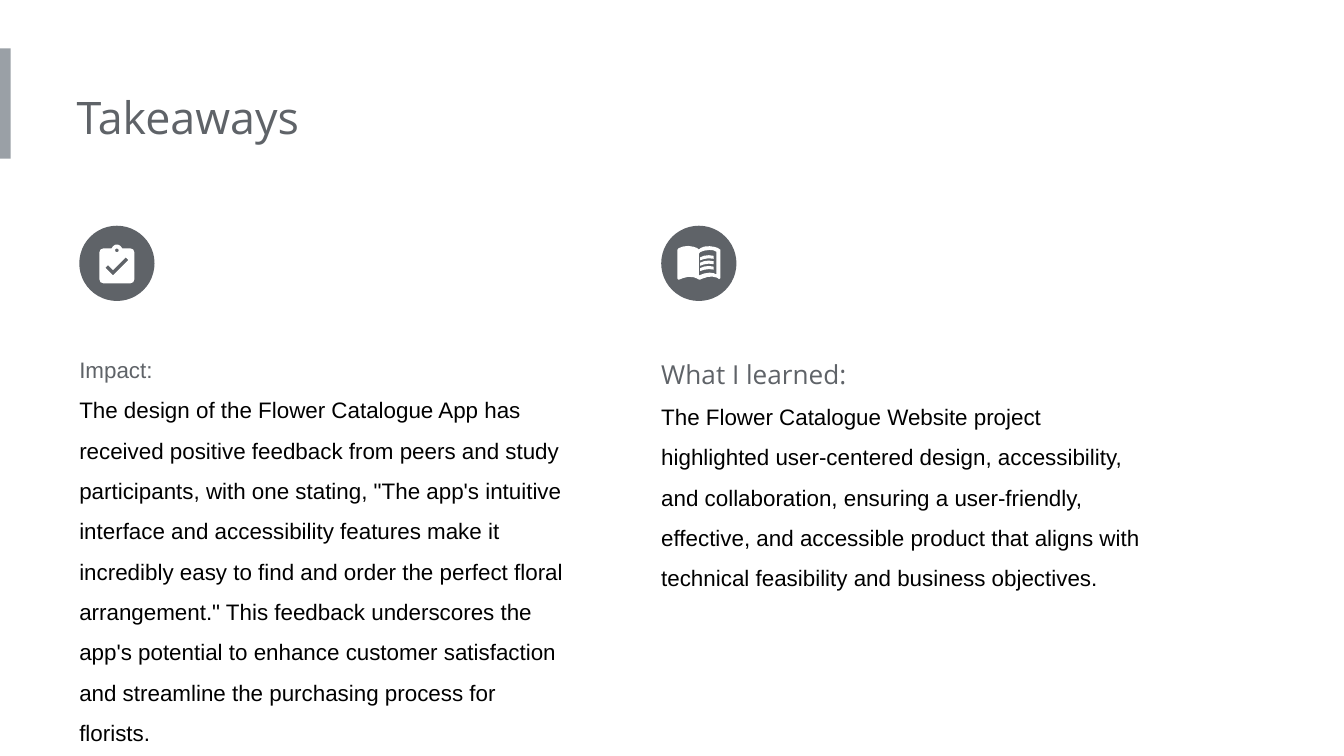
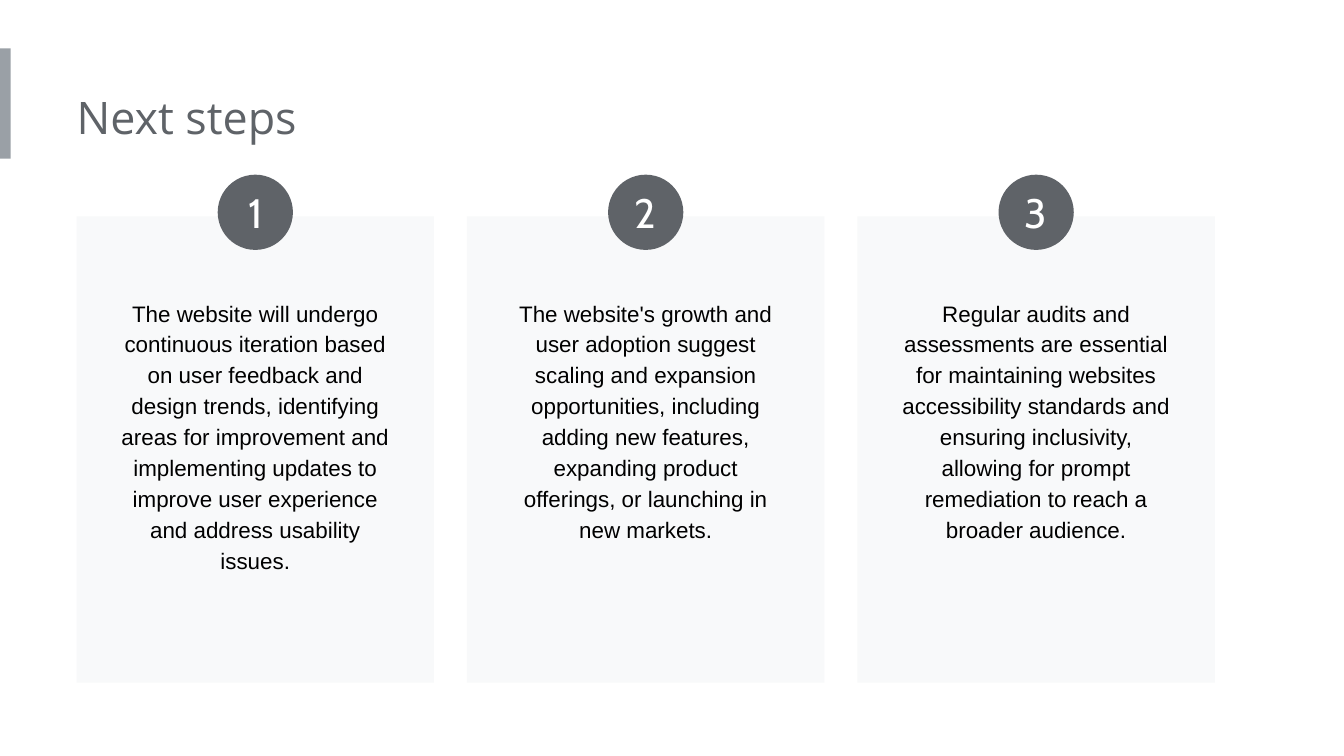
from pptx import Presentation
from pptx.dml.color import RGBColor
from pptx.enum.shapes import MSO_SHAPE
from pptx.enum.text import MSO_ANCHOR, MSO_AUTO_SIZE, PP_ALIGN
from pptx.util import Inches, Pt

RECT, OVAL = MSO_SHAPE.RECTANGLE, MSO_SHAPE.OVAL
TOP, MIDDLE = MSO_ANCHOR.TOP, MSO_ANCHOR.MIDDLE
GROW, FIXED = MSO_AUTO_SIZE.SHAPE_TO_FIT_TEXT, MSO_AUTO_SIZE.NONE
LEFT, CENTER = PP_ALIGN.LEFT, PP_ALIGN.CENTER

GRAY, ACCENT, PALE, WHITE, BLACK = "5F6368", "9AA0A6", "F8F9FA", "FFFFFF", "000000"
TITLE = {"name": "Open Sans", "size": Pt(24)}
HEADING = {"name": "Open Sans", "size": Pt(14)}
BODY = {"name": "Arial", "size": Pt(12)}
NUMBER = {"name": "Cabin", "size": Pt(22)}

PAD = Inches(0.1)
MARGIN = Inches(0.57)
DISC = Inches(0.56)


def paint(sp, color):
    sp.shadow.inherit = False
    sp.fill.solid()
    sp.fill.fore_color.rgb = RGBColor.from_string(color)
    sp.line.fill.background()


def write(sp, rows, align=LEFT, spacing=1.0, inset=(0, PAD, PAD, PAD), anchor=TOP, fit=GROW):
    tf = sp.text_frame
    sides = ("margin_left", "margin_top", "margin_right", "margin_bottom")
    frame = dict(zip(sides, inset), word_wrap=True, vertical_anchor=anchor, auto_size=fit)
    for key, value in frame.items():
        setattr(tf, key, value)
    for i, (text, font, color) in enumerate(rows):
        p = tf.add_paragraph() if i else tf.paragraphs[0]
        p.alignment, p.line_spacing = align, spacing
        r = p.add_run()
        r.text = text
        for key, value in font.items():
            setattr(r.font, key, value)
        r.font.color.rgb = RGBColor.from_string(color)


prs = Presentation()
prs.slide_width = Inches(10)
prs.slide_height = prs.slide_width * 9 // 16

slides = []
for text in ("Takeaways", "Next steps"):
    s = prs.slides.add_slide(prs.slide_layouts[5])
    paint(s.shapes.add_shape(RECT, 0, Inches(0.36), Inches(0.08), Inches(0.82)), ACCENT)
    title = s.shapes.title
    title.left, title.top, title.width, title.height = MARGIN, MARGIN, Inches(5.39), Inches(0.61)
    write(title, [(text, TITLE, GRAY)])
    slides.append(s)
takeaways, next_steps = slides

clipboard = [[
    [(381, 169), (320, 169), (308, 152), (294, 142), (280, 140), (266, 142), (252, 152),
     (240, 169), (179, 169), (158, 177), (150, 198), (150, 399), (158, 420), (179, 428),
     (381, 428), (402, 420), (410, 399), (410, 198), (402, 177)],
    [(280, 169), (290, 173), (294, 183), (290, 193), (280, 197), (270, 193), (266, 183), (270, 173)],
    [(251, 370), (194, 313), (214, 293), (251, 330), (346, 235), (366, 255)],
]]
book = [[
    [(200, 150), (160, 155), (130, 167), (120, 178), (120, 392), (125, 400), (135, 400),
     (160, 390), (200, 380), (240, 383), (265, 392), (280, 400), (290, 400), (310, 392),
     (345, 381), (380, 378), (415, 386), (430, 397), (440, 390), (440, 178), (420, 165),
     (395, 157), (360, 152), (320, 155), (295, 165), (280, 176), (265, 165), (240, 156)],
    [(360, 180), (390, 183), (410, 193), (410, 362), (390, 353), (360, 349), (320, 355),
     (280, 370), (280, 208), (290, 196), (320, 185)],
]]
text_line = [(290, 235), (320, 223), (355, 219), (390, 224),
             (390, 246), (355, 242), (320, 247), (290, 257)]
for drop in (0, 40, 80):
    book.append([[(x, y + drop) for x, y in text_line]])

columns = [
    (clipboard, 2.93, "Impact:", BODY,
     'The design of the Flower Catalogue App has received positive feedback from peers and study '
     'participants, with one stating, "The app\'s intuitive interface and accessibility features '
     'make it incredibly easy to find and order the perfect floral arrangement." This feedback '
     "underscores the app's potential to enhance customer satisfaction and streamline the "
     "purchasing process for florists."),
    (book, 2.37, "What I learned:", HEADING,
     "The Flower Catalogue Website project highlighted user-centered design, accessibility, and "
     "collaboration, ensuring a user-friendly, effective, and accessible product that aligns with "
     "technical feasibility and business objectives."),
]
icon_top = Inches(1.68)
for i, (icon, height, heading, font, text) in enumerate(columns):
    x = Inches(0.59) + i * Inches(4.33)
    sp = takeaways.shapes.add_textbox(x, Inches(2.45), Inches(3.77), Inches(height))
    write(sp, [(heading, font, GRAY), (text, BODY, BLACK)], spacing=1.5)
    paint(takeaways.shapes.add_shape(OVAL, x, icon_top, DISC, DISC), GRAY)
    for outlines in icon:
        fb = takeaways.shapes.build_freeform(*outlines[0][0], scale=Inches(1) / 1000)
        for outline in outlines:
            if outline is not outlines[0]:
                fb.move_to(*outline[0])
            fb.add_line_segments(outline[1:], close=True)
        paint(fb.convert_to_shape(x, icon_top), WHITE)

steps = [
    (2.76, "The website will undergo continuous iteration based on user feedback and design trends, "
     "identifying areas for improvement and implementing updates to improve user experience and "
     "address usability issues."),
    (2.52, "The website's growth and user adoption suggest scaling and expansion opportunities, "
     "including adding new features, expanding product offerings, or launching in new markets."),
    (2.52, "Regular audits and assessments are essential for maintaining websites accessibility "
     "standards and ensuring inclusivity, allowing for prompt remediation to reach a broader "
     "audience."),
]
card_w, text_w = Inches(2.66), Inches(2.24)
pitch = (Inches(8.47) - card_w) // 2
for i, (height, text) in enumerate(steps):
    x = MARGIN + i * pitch
    paint(next_steps.shapes.add_shape(RECT, x, Inches(1.61), card_w, Inches(3.47)), PALE)
    sp = next_steps.shapes.add_textbox(x + (card_w - text_w) // 2, Inches(2.1), text_w, Inches(height))
    write(sp, [(text, BODY, BLACK)], CENTER, 1.15, (PAD,) * 4)
    sp = next_steps.shapes.add_shape(OVAL, x + (card_w - DISC) // 2, Inches(1.3), DISC, DISC)
    paint(sp, GRAY)
    write(sp, [(str(i + 1), NUMBER, WHITE)], CENTER, inset=(0,) * 4, anchor=MIDDLE, fit=FIXED)

prs.save("out.pptx")
